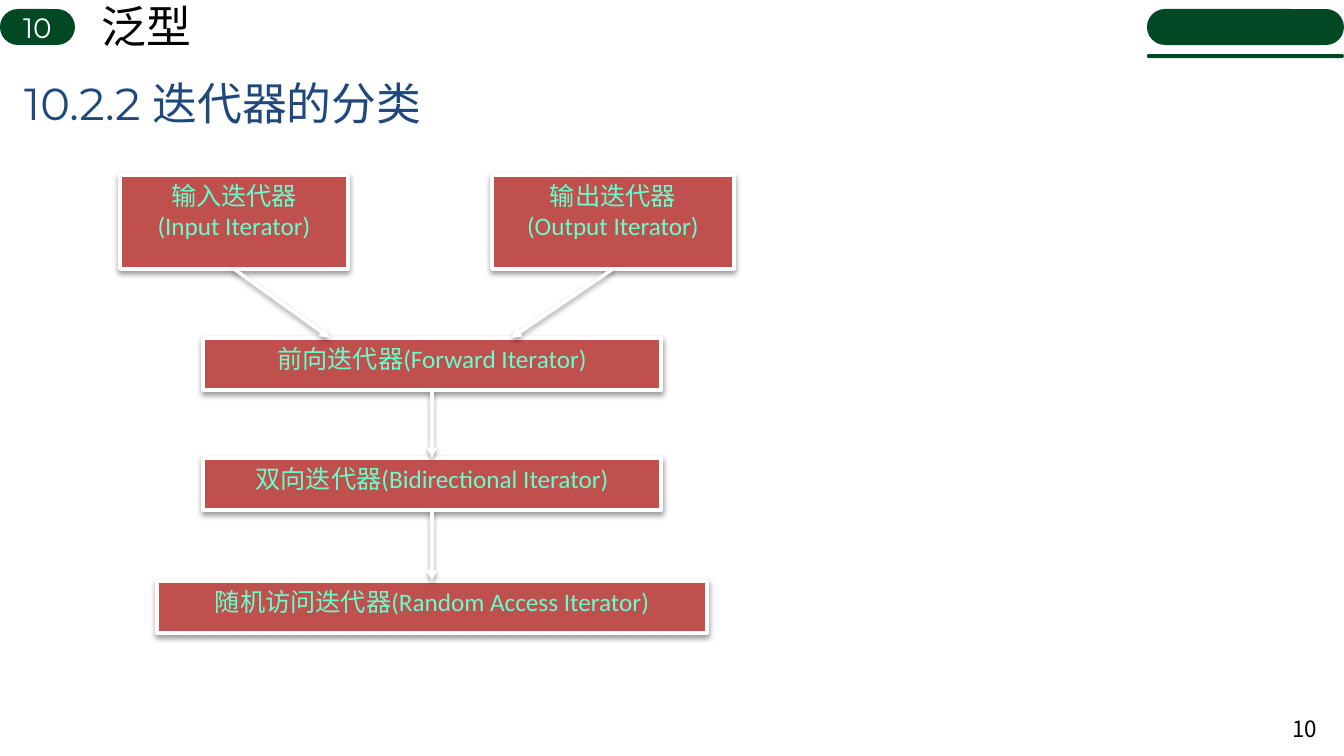
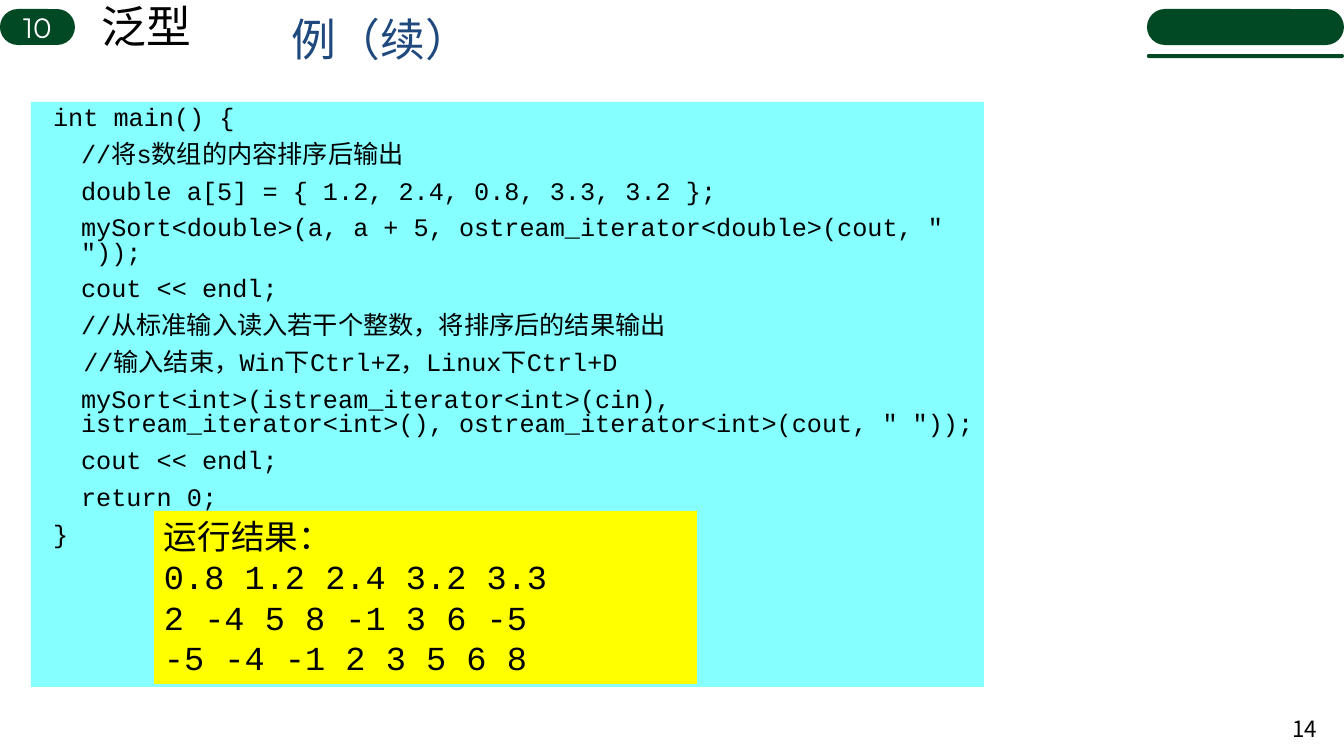
from lxml import etree
from pptx import Presentation
from pptx.dml.color import RGBColor
from pptx.enum.shapes import MSO_CONNECTOR, MSO_SHAPE
from pptx.enum.text import MSO_ANCHOR, MSO_AUTO_SIZE, PP_ALIGN
from pptx.oxml.ns import qn
from pptx.util import Pt

PX = 914400 / 100.8
RECTANGLE, ROUNDED = MSO_SHAPE.RECTANGLE, MSO_SHAPE.ROUNDED_RECTANGLE
STRAIGHT = MSO_CONNECTOR.STRAIGHT
LEFT, CENTER, RIGHT = PP_ALIGN.LEFT, PP_ALIGN.CENTER, PP_ALIGN.RIGHT
TOP, MIDDLE = MSO_ANCHOR.TOP, MSO_ANCHOR.MIDDLE
BOTTOM_SIDE, TOP_SIDE = 2, 0

GREEN = RGBColor(0x01, 0x49, 0x24)
NAVY = RGBColor(0x1F, 0x49, 0x7D)
RED = RGBColor(0xC0, 0x50, 0x4D)
MINT = RGBColor(0x66, 0xFF, 0xCC)
CYAN = RGBColor(0x85, 0xFF, 0xFF)
YELLOW = RGBColor(0xFF, 0xFF, 0x00)
BLACK = RGBColor(0, 0, 0)
WHITE = RGBColor(0xFF, 0xFF, 0xFF)
CJK_FONT = "Noto Sans CJK SC"
CODE_FONT = "Courier New"

# Content
CHAPTER, SECTION = "10", "泛型"
ITERATORS = {  # name: (text, centre x, top, width, height)
    "input": ("输入迭代器\v(Input Iterator)", 234, 175, 228, 94),
    "output": ("输出迭代器\v(Output Iterator)", 613, 175, 242, 94),
    "forward": ("前向迭代器(Forward Iterator)", 432, 338, 458, 52),
    "bidirectional": ("双向迭代器(Bidirectional Iterator)", 432, 458, 458, 52),
    "random": ("随机访问迭代器(Random Access Iterator)", 432, 581, 550, 52),
}
ARROWS = [  # start, end, shift of the tip from the middle of the top side
    ("input", "forward", -102),
    ("output", "forward", 79),
    ("forward", "bidirectional", 0),
    ("bidirectional", "random", 0),
]
CODE = [
    "int main() {",
    "\t//将s数组的内容排序后输出",
    "\tdouble a[5] = { 1.2, 2.4, 0.8, 3.3, 3.2 };",
    '\tmySort<double>(a, a + 5, ostream_iterator<double>(cout, " "));',
    "\tcout << endl;",
    "\t//从标准输入读入若干个整数，将排序后的结果输出",
    "  //输入结束，Win下Ctrl+Z，Linux下Ctrl+D",
    "\tmySort<int>(istream_iterator<int>(cin), istream_iterator<int>(), "
    'ostream_iterator<int>(cout, " "));',
    "\tcout << endl;",
    "\treturn 0;",
    "}",
]
RESULTS = ["运行结果：", "0.8 1.2 2.4 3.2 3.3", "2 -4 5 8 -1 3 6 -5", "-5 -4 -1 2 3 5 6 8"]


def px(*lengths):
    return [round(length * PX) for length in lengths]


def write(shape, text, size, font, color, align=LEFT, anchor=TOP, wrap=True):
    frame = shape.text_frame
    frame.text = text
    frame.auto_size = MSO_AUTO_SIZE.NONE
    frame.word_wrap = wrap
    frame.vertical_anchor = anchor
    for paragraph in frame.paragraphs:
        paragraph.alignment = align
        for run in paragraph.runs:
            run.font.size = Pt(size)
            run.font.color.rgb = color
            run.font.name = font
            etree.SubElement(run.font._element, qn("a:ea"), typeface=CJK_FONT)


def add_box(slide, kind, box, fill):
    shape = slide.shapes.add_shape(kind, *px(*box))
    shape.shadow.inherit = False
    shape.fill.solid()
    shape.fill.fore_color.rgb = fill
    shape.line.fill.background()
    if kind == ROUNDED:
        shape.adjustments[0] = 0.5
    return shape


def place(shape, box):
    shape.left, shape.top, shape.width, shape.height = px(*box)


def outline_with_shadow(shape):
    shape.line.color.rgb = WHITE
    shape.line.width = Pt(2.5)
    properties = shape._element.spPr
    effects = properties.find(qn("a:effectLst"))
    if effects is None:
        effects = etree.SubElement(properties, qn("a:effectLst"))
    shadow = etree.SubElement(effects, qn("a:outerShdw"), blurRad="52000",
                              dist="25400", dir="5400000", rotWithShape="0")
    color = etree.SubElement(shadow, qn("a:srgbClr"), val=str(BLACK))
    etree.SubElement(color, qn("a:alpha"), val="40000")


def add_slide(presentation, layout, title, title_box, number):
    """Slide with the shared header, title style and page number."""
    slide = presentation.slides.add_slide(presentation.slide_layouts[layout])
    place(slide.shapes.title, title_box)
    write(slide.shapes.title, title, 32, "Montserrat", NAVY, anchor=MIDDLE)
    for box in ((1147, 9, 197, 36), (1147, 54, 197, 4)):
        add_box(slide, ROUNDED, box, GREEN)
    chapter = add_box(slide, ROUNDED, (0, 9, 75, 36), GREEN)
    write(chapter, CHAPTER, 20, "Montserrat", WHITE, CENTER, MIDDLE)
    section = slide.shapes.add_textbox(*px(92, -6, 111, 65))
    write(section, SECTION, 32, "Arial", BLACK, wrap=False)
    page = slide.shapes.add_textbox(*px(1278, 709, 49, 40))
    write(page, number, 16, CJK_FONT, BLACK, RIGHT, MIDDLE)
    return slide


def build_iterator_slide(presentation):
    slide = add_slide(presentation, 5, "10.2.2 迭代器的分类", (14, 58, 907, 89), "10")
    # Iterator boxes
    boxes = {}
    for name, (text, center, top, width, height) in ITERATORS.items():
        box = add_box(slide, RECTANGLE, (center - width // 2, top, width, height), RED)
        outline_with_shadow(box)
        write(box, text, 18, "Calibri", MINT, CENTER)
        boxes[name] = box
    # Arrows
    for start, end, shift in ARROWS:
        _, start_x, start_top, _, start_height = ITERATORS[start]
        _, end_x, end_top, _, _ = ITERATORS[end]
        arrow = slide.shapes.add_connector(
            STRAIGHT, *px(start_x, start_top + start_height, end_x + shift, end_top))
        arrow.begin_connect(boxes[start], BOTTOM_SIDE)
        if shift == 0:
            arrow.end_connect(boxes[end], TOP_SIDE)
        outline_with_shadow(arrow)
        etree.SubElement(arrow.line._get_or_add_ln(), qn("a:tailEnd"), type="triangle")


def build_code_slide(presentation):
    slide = add_slide(presentation, 1, "例（续）", (281, -6, 394, 89), "14")
    # Code listing
    listing = slide.placeholders[1]
    place(listing, (31, 102, 953, 585))
    listing.fill.solid()
    listing.fill.fore_color.rgb = CYAN
    write(listing, "\n".join(CODE), 18, CODE_FONT, BLACK)
    indent, hanging = px(40, -28)
    for index, paragraph in enumerate(listing.text_frame.paragraphs):
        properties = paragraph._p.get_or_add_pPr()
        properties.set("marL", str(indent))
        properties.set("indent", str(hanging))
        etree.SubElement(properties, qn("a:buNone"))
        paragraph.line_spacing = 0.8
        paragraph.space_before = Pt(3 if index else 0)
        paragraph.space_after = Pt(6)
    # Program output
    results = add_box(slide, RECTANGLE, (154, 511, 543, 173), YELLOW)
    write(results, "\n".join(RESULTS), 24, CODE_FONT, BLACK)


def main():
    presentation = Presentation()
    presentation.slide_width, presentation.slide_height = px(1344, 756)
    build_iterator_slide(presentation)
    build_code_slide(presentation)
    presentation.save("out.pptx")


if __name__ == "__main__":
    main()
